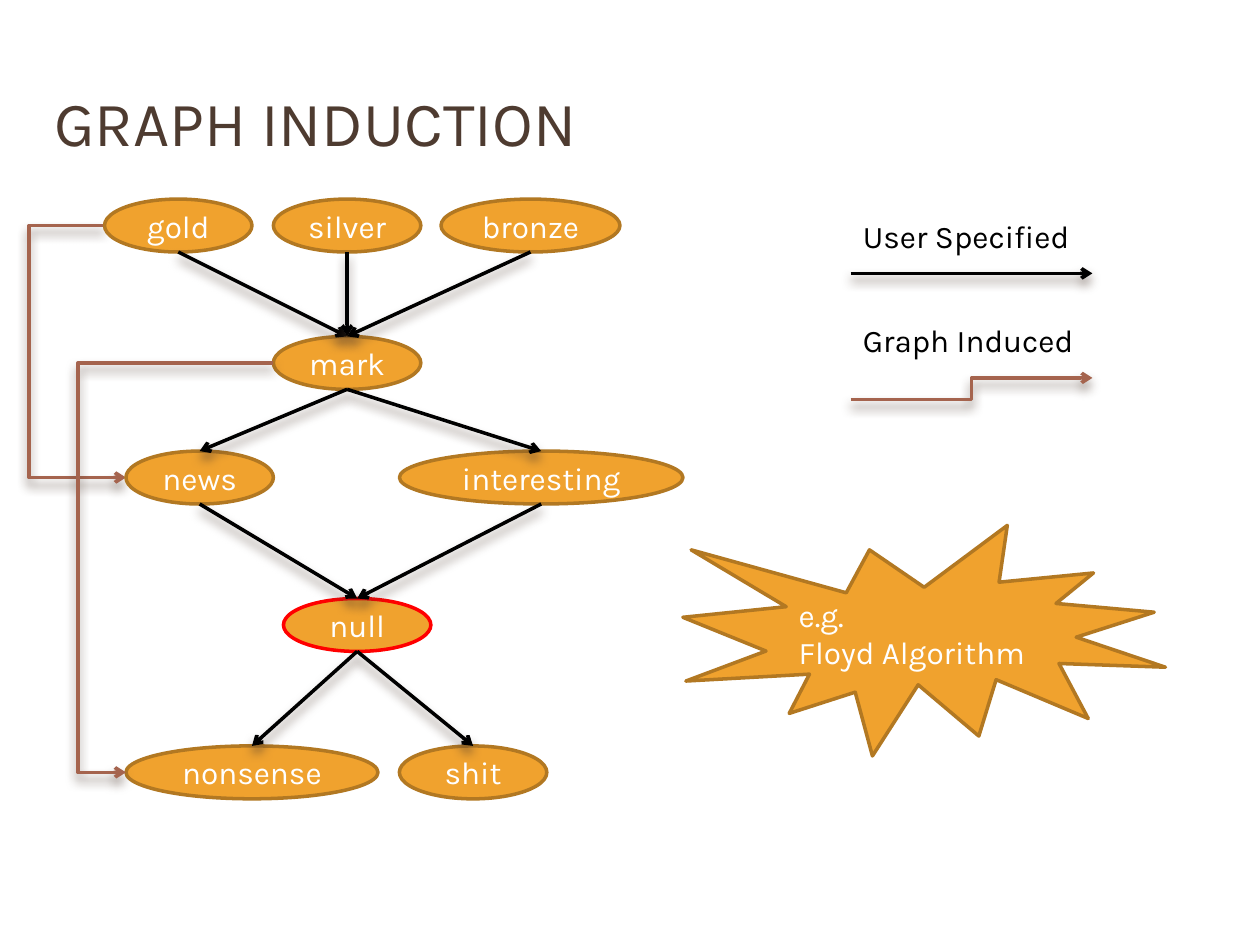
from dataclasses import dataclass

from lxml.etree import SubElement
from pptx import Presentation
from pptx.dml.color import RGBColor
from pptx.enum.shapes import MSO_CONNECTOR as Connector, MSO_SHAPE as Shape
from pptx.enum.text import MSO_ANCHOR as Anchor, MSO_AUTO_SIZE as AutoSize, PP_ALIGN as Align
from pptx.oxml.ns import qn
from pptx.util import Inches, Pt


@dataclass(frozen=True)
class Theme:
    font: str = "Karla"
    title_size: int = 36
    body_size: int = 18
    line_width: int = 2
    brown: str = "4E3B30"
    black: str = "000000"
    white: str = "FFFFFF"
    amber: str = "F0A22E"
    outline: str = "B27822"
    alert: str = "FF0000"
    induced: str = "A5644E"


THEME = Theme()
NODE_HEIGHT = 0.42

# Each node: left, top, width
NODES = {
    "mark": (2.17, 2.67, 1.17),
    "gold": (0.83, 1.58, 1.17),
    "silver": (2.17, 1.58, 1.17),
    "bronze": (3.5, 1.58, 1.42),
    "news": (1, 3.58, 1.17),
    "interesting": (3.17, 3.58, 2.25),
    "null": (2.25, 4.75, 1.17),
    "nonsense": (1, 5.92, 2),
    "shit": (3.17, 5.92, 1.17),
}
EDGES = [
    ("gold", "mark"), ("silver", "mark"), ("bronze", "mark"),
    ("mark", "news"), ("mark", "interesting"),
    ("news", "null"), ("interesting", "null"),
    ("null", "nonsense"), ("null", "shit"),
]


def write(frame, lines, color, size=THEME.body_size, align=Align.LEFT):
    for index, line in enumerate(lines):
        para = frame.paragraphs[0] if index == 0 else frame.add_paragraph()
        para.alignment = align
        span = para.add_run()
        span.text = line
        span.font.name = THEME.font
        span.font.size = Pt(size)
        span.font.color.rgb = RGBColor.from_string(color)


def add_title(page, text):
    title = page.shapes.title
    title.left, title.top = Inches(0.33), Inches(0.5)
    title.width, title.height = Inches(9.5), Inches(0.92)
    title.text_frame.vertical_anchor = Anchor.MIDDLE
    write(title.text_frame, [text], THEME.brown, THEME.title_size)


def add_filled(shapes, kind, bounds, lines, align, outline=THEME.outline):
    shape = shapes.add_shape(kind, *map(Inches, bounds))
    shape.shadow.inherit = False
    shape.fill.solid()
    shape.fill.fore_color.rgb = RGBColor.from_string(THEME.amber)
    shape.line.color.rgb = RGBColor.from_string(outline)
    shape.line.width = Pt(THEME.line_width)
    shape.text_frame.vertical_anchor = Anchor.MIDDLE
    write(shape.text_frame, lines, THEME.white, align=align)


def add_node(shapes, name):
    left, top, width = NODES[name]
    outline = THEME.alert if name == "null" else THEME.outline
    # Long words must stay on one line inside the ellipse
    add_filled(shapes, Shape.OVAL, (left, top, width, NODE_HEIGHT),
               [name], Align.CENTER, outline)


def add_shadow(properties):
    effects = SubElement(properties, qn("a:effectLst"))
    shadow = SubElement(effects, qn("a:outerShdw"), blurRad=str(Pt(6)),
                        dist=str(Pt(4)), dir="5400000", rotWithShape="0")
    color = SubElement(shadow, qn("a:srgbClr"), val=THEME.brown)
    SubElement(color, qn("a:alpha"), val="60000")


def add_arrow(shapes, start, end, color, kind=Connector.STRAIGHT, bend=None):
    """Draw an arrow; bend is the elbow's place as a share of the width."""
    arrow = shapes.add_connector(kind, *map(Inches, (*start, *end)))
    arrow.line.color.rgb = RGBColor.from_string(color)
    arrow.line.width = Pt(THEME.line_width)
    SubElement(arrow.line._get_or_add_ln(), qn("a:tailEnd"), type="arrow")
    properties = arrow._element.spPr
    if bend is not None:
        guides = properties.find(qn("a:prstGeom")).find(qn("a:avLst"))
        SubElement(guides, qn("a:gd"), name="adj1", fmla=f"val {round(bend * 100000)}")
    add_shadow(properties)


def add_edge(shapes, source, target):
    left, top, width = NODES[source]
    end_left, end_top, end_width = NODES[target]
    add_arrow(shapes, (left + width / 2, top + NODE_HEIGHT),
              (end_left + end_width / 2, end_top), THEME.black)


def add_induced_edge(shapes, source, target, elbow):
    start, end = [(NODES[name][0], NODES[name][1] + NODE_HEIGHT / 2)
                  for name in (source, target)]
    bend = (elbow - start[0]) / (end[0] - start[0])
    add_arrow(shapes, start, end, THEME.induced, Connector.ELBOW, bend)


def add_label(shapes, text, top):
    box = shapes.add_textbox(Inches(6.75), Inches(top), Inches(1.92), Inches(0.4))
    box.text_frame.word_wrap = True
    box.text_frame.auto_size = AutoSize.SHAPE_TO_FIT_TEXT
    write(box.text_frame, [text], THEME.black)


def main():
    deck = Presentation()
    deck.slide_width, deck.slide_height = Inches(10), Inches(7.5)
    page = deck.slides.add_slide(deck.slide_layouts[5])
    add_title(page, "GRAPH INDUCTION")

    # Legend for user-specified edges
    legend = page.shapes.add_group_shape().shapes
    add_arrow(legend, (6.75, 2.17), (8.67, 2.17), THEME.black)
    add_label(legend, "User Specified", 1.67)

    # Word graph with its induced edges
    add_induced_edge(page.shapes, "gold", "news", 0.23)
    graph = page.shapes.add_group_shape().shapes
    for name in NODES:
        add_node(graph, name)
    for source, target in EDGES:
        add_edge(graph, source, target)
    add_induced_edge(page.shapes, "mark", "nonsense", 0.62)

    # Legend for induced edges
    legend = page.shapes.add_group_shape().shapes
    add_arrow(legend, (6.75, 3.17), (8.67, 3), THEME.induced, Connector.ELBOW, 0.5)
    add_label(legend, "Graph Induced", 2.5)

    # Example callout
    add_filled(page.shapes, Shape.EXPLOSION1, (5.42, 4.17, 3.83, 1.83),
               ["e.g.", "Floyd Algorithm"], Align.LEFT)
    deck.save("out.pptx")


if __name__ == "__main__":
    main()
